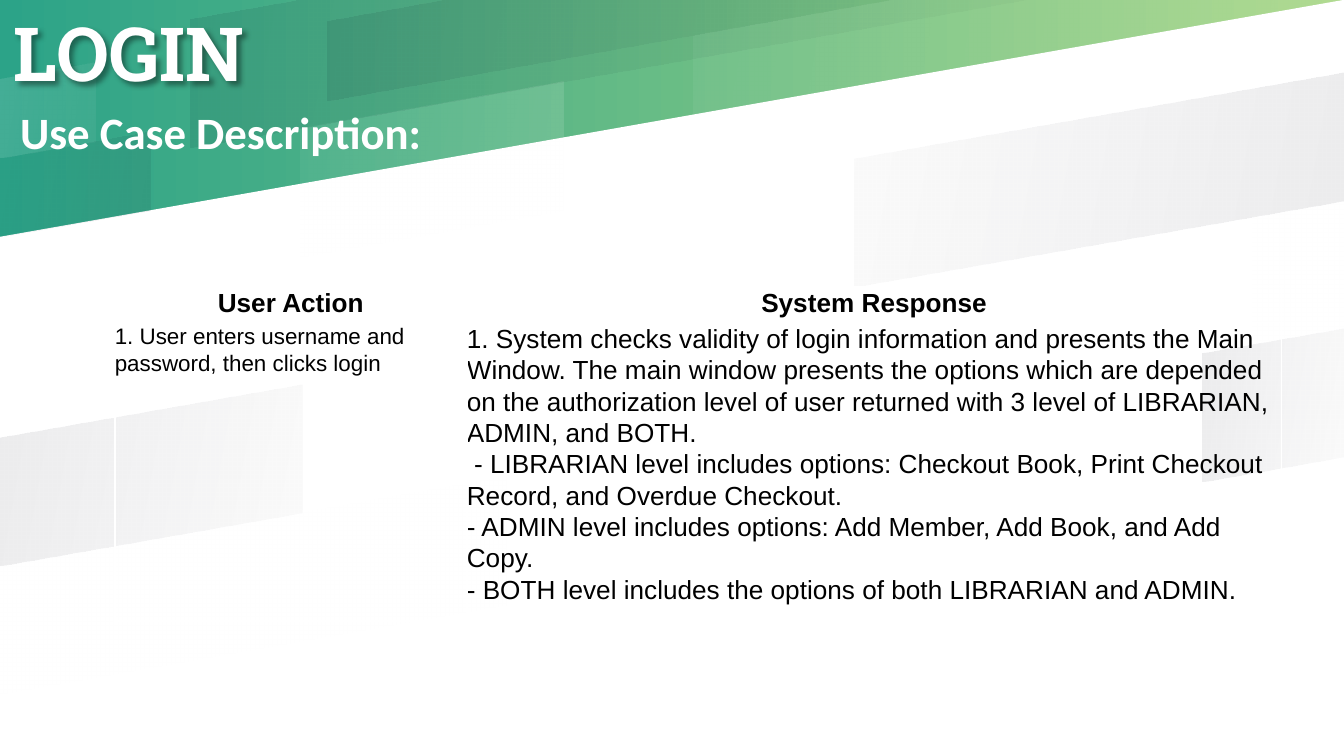
from dataclasses import dataclass
from math import radians, tan

from lxml import etree
from pptx import Presentation
from pptx.dml.color import RGBColor
from pptx.enum.text import MSO_ANCHOR as Anchor, MSO_AUTO_SIZE as AutoSize, PP_ALIGN as Align
from pptx.oxml.ns import qn
from pptx.util import Pt

WHITE = RGBColor(0xFF, 0xFF, 0xFF)
BLACK = RGBColor(0x00, 0x00, 0x00)
INK = RGBColor(0x00, 0x00, 0x1A)
TEAL = RGBColor(0x2C, 0xA3, 0x88)
LIME = RGBColor(0xA6, 0xD6, 0x83)

WIDTH, HEIGHT = 720, 405
SLOPE = tan(radians(10))
THIN, WIDE = 42.3, 68.6  # lane heights
WIDE_START = 28.6  # where the first wide lane meets the left edge


@dataclass(frozen=True)
class Tint:
    color: RGBColor
    start: int  # opacity in percent
    end: int


INK_OUT, INK_IN = Tint(INK, 8, 2), Tint(INK, 2, 8)
LIGHT_OUT, LIGHT_IN = Tint(WHITE, 12, 5), Tint(WHITE, 5, 12)


@dataclass(frozen=True)
class Band:
    left: float
    right: float
    top: float  # height at which the upper edge meets the left of the slide
    height: float
    tint: Tint


@dataclass(frozen=True)
class Entry:
    lines: tuple[str, ...]
    size: int
    bold: bool = False
    align: Align = Align.LEFT


def thin_band(left: float, right: float, lane: int, tint: Tint) -> Band:
    return Band(left, right, lane * THIN, THIN, tint)


def wide_band(left: float, right: float, lane: int, tint: Tint) -> Band:
    return Band(left, right, WIDE_START + lane * WIDE, WIDE, tint)


BANDS = [
    thin_band(0, 80.6, 2, INK_IN),
    thin_band(371.5, WIDTH, 2, LIGHT_IN),
    thin_band(0, 51.1, 1, LIGHT_OUT),
    thin_band(175.5, 479, 1, INK_OUT),
    wide_band(0, 162, 3, INK_OUT),
    wide_band(102, 551.5, 0, INK_OUT),
    wide_band(458, WIDTH, 2, INK_IN),
    wide_band(0, 271.5, 4, LIGHT_OUT),
    wide_band(644.4, WIDTH, 4, INK_OUT),
    wide_band(161, 302, 1, LIGHT_IN),
    wide_band(671, WIDTH, 3, LIGHT_OUT),
]

ROWS = [
    [
        Entry(("User Action",), 14, True, Align.CENTER),
        Entry(("System Response",), 14, True, Align.CENTER),
    ],
    [
        Entry(("1. User enters username and password, then clicks login",), 12),
        Entry((
            "1. System checks validity of login information and presents the Main Window. "
            "The main window presents the options which are depended on the authorization "
            "level of user returned with 3 level of LIBRARIAN, ADMIN, and BOTH.",
            " - LIBRARIAN level includes options: Checkout Book, Print Checkout Record, "
            "and Overdue Checkout.",
            "- ADMIN level includes options: Add Member, Add Book, and Add Copy.",
            "- BOTH level includes the options of both LIBRARIAN and ADMIN.",
        ), 14),
    ],
]


def edge(start: float, x: float) -> float:
    """Height of a slanted edge at x, kept on the slide."""
    return max(0, start - SLOPE * x)


def add_polygon(slide, points: list[tuple[float, float]]):
    corners = [(Pt(x), Pt(y)) for x, y in points]
    builder = slide.shapes.build_freeform(*corners[0], scale=1.0)
    builder.add_line_segments(corners[1:], close=True)
    shape = builder.convert_to_shape()
    shape.shadow.inherit = False
    shape.line.fill.background()
    return shape


def add_white_area(slide, start: float) -> None:
    corner = min(WIDTH, start / SLOPE)
    shape = add_polygon(slide, [(0, start), (corner, edge(start, corner)),
                                (WIDTH, edge(start, WIDTH)), (WIDTH, HEIGHT), (0, HEIGHT)])
    shape.fill.solid()
    shape.fill.fore_color.rgb = WHITE


def add_band(slide, band: Band) -> None:
    bottom = band.top + band.height
    corner = min(band.right, band.top / SLOPE)
    shape = add_polygon(slide, [
        (band.left, edge(band.top, band.left)), (corner, edge(band.top, corner)),
        (band.right, edge(band.top, band.right)), (band.right, edge(bottom, band.right)),
        (band.left, edge(bottom, band.left))])
    shape.fill.gradient()
    shape.fill.gradient_angle = 350
    for stop, opacity in zip(shape.fill.gradient_stops, (band.tint.start, band.tint.end)):
        stop.color.rgb = band.tint.color
        color = stop.color._xFill[0]
        etree.SubElement(color, qn("a:alpha"), val=str(opacity * 1000))


def fill_placeholder(shape, text: str, box: tuple, font: str, size: int, anchor: Anchor) -> None:
    shape.left, shape.top, shape.width, shape.height = map(Pt, box)
    frame = shape.text_frame
    frame.text = text
    frame.auto_size = AutoSize.NONE
    frame.word_wrap = True
    frame.vertical_anchor = anchor
    frame.margin_left = frame.margin_top = frame.margin_right = frame.margin_bottom = 0
    paragraph = frame.paragraphs[0]
    paragraph.alignment = Align.LEFT
    paragraph.space_before = Pt(0)
    paragraph.font.name, paragraph.font.size = font, Pt(size)
    paragraph.font.bold = True
    paragraph.font.color.rgb = WHITE
    # Bring the text in front of the bands
    shape._element.getparent().append(shape._element)


def add_soft_shadow(shape) -> None:
    effects = etree.SubElement(shape._element.spPr, qn("a:effectLst"))
    shadow = etree.SubElement(effects, qn("a:outerShdw"), blurRad=str(Pt(3)),
                              dist=str(Pt(3)), dir="2700000", algn="tl")
    color = etree.SubElement(shadow, qn("a:srgbClr"), val=str(BLACK))
    etree.SubElement(color, qn("a:alpha"), val="40000")


def fill_cell(cell, entry: Entry) -> None:
    cell.margin_left = cell.margin_top = cell.margin_right = cell.margin_bottom = 0
    properties = cell._tc.get_or_add_tcPr()
    for side in ("lnL", "lnR", "lnT", "lnB"):
        border = etree.SubElement(properties, qn(f"a:{side}"), w=str(Pt(1)))
        solid = etree.SubElement(border, qn("a:solidFill"))
        etree.SubElement(solid, qn("a:srgbClr"), val=str(WHITE))
    cell.fill.background()
    cell.text_frame.text = "\n".join(entry.lines)
    for paragraph in cell.text_frame.paragraphs:
        paragraph.alignment = entry.align
        paragraph.line_spacing = 1.07
        paragraph.font.name, paragraph.font.size = "Arial", Pt(entry.size)
        paragraph.font.bold = entry.bold
        paragraph.font.color.rgb = BLACK


def add_use_case_table(slide) -> None:
    table = slide.shapes.add_table(2, 2, Pt(61.5), Pt(153.4), Pt(625), Pt(179.3)).table
    table.first_row = table.horz_banding = False
    for column, width in zip(table.columns, (188.6, 436.4)):
        column.width = Pt(width)
    for row, height, entries in zip(table.rows, (19.4, 159.9), ROWS):
        row.height = Pt(height)
        for cell, entry in zip(row.cells, entries):
            fill_cell(cell, entry)


def main() -> None:
    presentation = Presentation()
    presentation.slide_width, presentation.slide_height = Pt(WIDTH), Pt(HEIGHT)
    slide = presentation.slides.add_slide(presentation.slide_layouts[2])

    # Green background under slanted white areas and translucent bands
    background = slide.background.fill
    background.gradient()
    background.gradient_angle = 0
    for stop, color in zip(background.gradient_stops, (TEAL, LIME)):
        stop.color.rgb = color
    add_white_area(slide, 3 * THIN)
    add_white_area(slide, WIDE_START + 5 * WIDE)
    for band in BANDS:
        add_band(slide, band)

    # Headings
    title, subtitle = slide.shapes.title, slide.placeholders[1]
    fill_placeholder(title, "LOGIN", (7.2, 3, 165.6, 49), "Roboto Slab", 40, Anchor.MIDDLE)
    add_soft_shadow(title)
    fill_placeholder(subtitle, "Use Case Description:", (10.8, 52, 261.4, 33.8),
                     "Calibri", 24, Anchor.TOP)
    subtitle.text_frame.paragraphs[0].line_spacing = 1.15

    # User actions and system responses
    add_use_case_table(slide)
    presentation.save("out.pptx")


if __name__ == "__main__":
    main()
